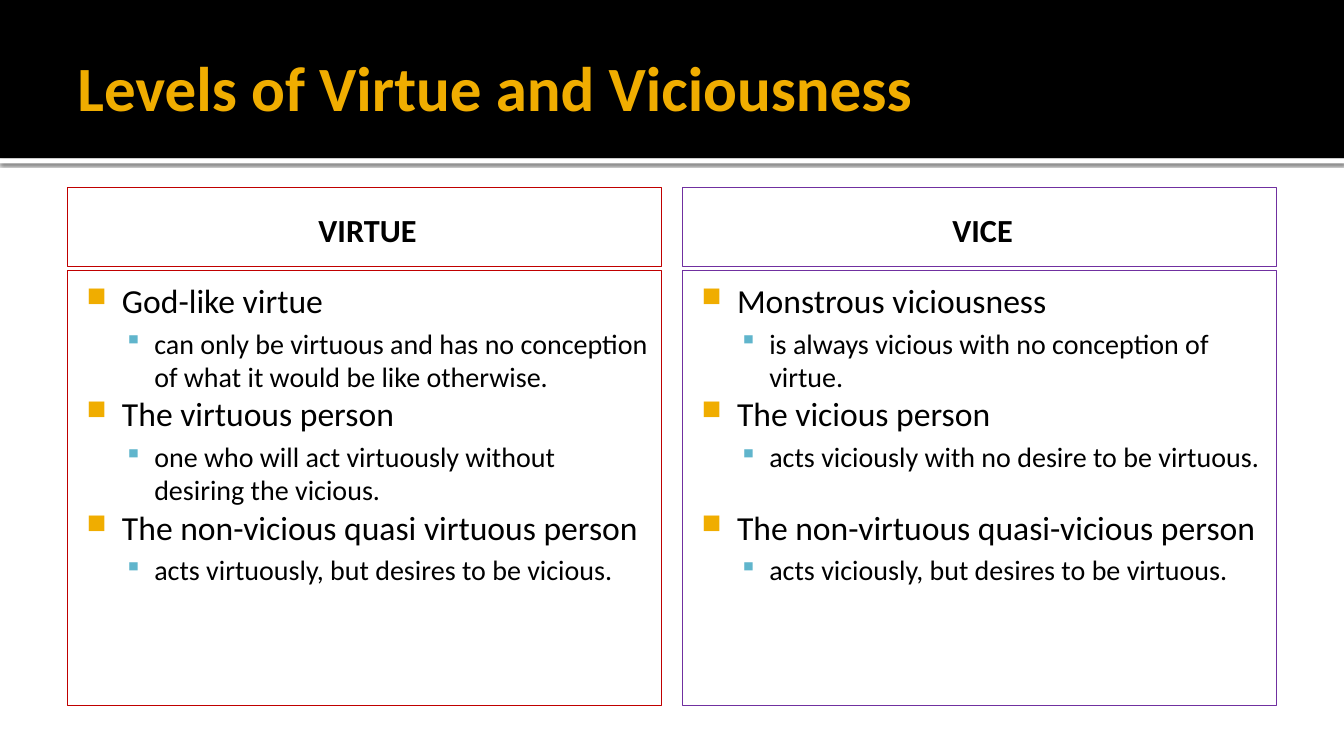
import lxml.etree
import pptx
import pptx.dml.color
import pptx.enum.shapes
import pptx.enum.text
import pptx.oxml.ns
import pptx.util

WIDTH, HEIGHT = 13.33, 7.5
MARGIN, COLUMN, GUTTER = 0.67, 5.89, 0.21
BAND, RULE = 1.57, 0.05
HEADER_TOP, HEADER_HEIGHT = 1.86, 0.78
LIST_TOP, LIST_HEIGHT = 2.68, 4.32
FONT = "Calibri"
BLACK, WHITE, GOLD, BLUE = "000000", "FFFFFF", "F0AD00", "60B5CC"
LEVELS = [
    dict(size=24, left=0.48, hang=0.35, bullet="■", color=GOLD, scale=80),
    dict(size=20, left=0.8, hang=0.3, bullet="▪", color=BLUE, scale=90),
]
COLUMNS = [
    ("VIRTUE", "C00000", [
        ("God-like virtue",
         "can only be virtuous and has no conception of what it would be like otherwise.", 0),
        ("The virtuous person",
         "one who will act virtuously without desiring the vicious.", 0),
        ("The non-vicious quasi virtuous person",
         "acts virtuously, but desires to be vicious.", 0),
    ]),
    ("VICE", "7030A0", [
        ("Monstrous viciousness",
         "is always vicious with no conception of virtue.", 0),
        ("The vicious person",
         "acts viciously with no desire to be virtuous.", 0),
        ("The non-virtuous quasi-vicious person",
         "acts viciously, but desires to be virtuous.", 24.4),
    ]),
]


def rgb(value):
    return pptx.dml.color.RGBColor.from_string(value)


def inches(*values):
    return [pptx.util.Inches(value) for value in values]


def child(parent, tag, **attributes):
    return lxml.etree.SubElement(parent, pptx.oxml.ns.qn(tag), attributes)


def add_rect(s, box, fill=None, line=None):
    sp = s.shapes.add_shape(pptx.enum.shapes.MSO_SHAPE.RECTANGLE, *inches(*box))
    sp.shadow.inherit = False
    if fill:
        sp.fill.solid()
        sp.fill.fore_color.rgb = rgb(fill)
    else:
        sp.fill.background()
    if line:
        sp.line.color.rgb = rgb(line)
        sp.line.width = pptx.util.Pt(0.75)
    else:
        sp.line.fill.background()
    return sp


def add_shadow(sp):
    effects = sp._element.spPr.find(pptx.oxml.ns.qn("a:effectLst"))
    shadow = child(effects, "a:outerShdw", blurRad=str(pptx.util.Pt(2.5)),
                   dist=str(pptx.util.Pt(0.8)), dir="5400000", algn="tl", rotWithShape="0")
    color = child(shadow, "a:srgbClr", val=BLACK)
    child(color, "a:alpha", val="60000")


def set_frame(sp, insets, anchor):
    tf = sp.text_frame
    tf.word_wrap = True
    tf.vertical_anchor = anchor
    tf.margin_left, tf.margin_top, tf.margin_right, tf.margin_bottom = inches(*insets)
    return tf


def add_run(p, text, size, color=BLACK, bold=False):
    r = p.add_run()
    r.text = text
    r.font.name = FONT
    r.font.size = pptx.util.Pt(size)
    r.font.bold = bold
    r.font.color.rgb = rgb(color)


def add_bullet(p, level):
    pPr = p._p.get_or_add_pPr()
    pPr.set("marL", str(pptx.util.Inches(level["left"])))
    pPr.set("indent", str(-pptx.util.Inches(level["hang"])))
    child(child(pPr, "a:buClr"), "a:srgbClr", val=level["color"])
    child(pPr, "a:buSzPct", val=str(level["scale"] * 1000))
    child(pPr, "a:buChar", char=level["bullet"])


def add_title(s, text):
    sp = s.shapes.add_textbox(*inches(MARGIN, 0.17, 12, 1.37))
    tf = set_frame(sp, (0.1, 0.05, 0.05, 0.05), pptx.enum.text.MSO_ANCHOR.MIDDLE)
    add_run(tf.paragraphs[0], text, 45, GOLD, True)


def add_header(s, left, text, line):
    sp = add_rect(s, (left, HEADER_TOP, COLUMN, HEADER_HEIGHT), line=line)
    tf = set_frame(sp, (0.16, 0.1, 0.1, 0.05), pptx.enum.text.MSO_ANCHOR.MIDDLE)
    p = tf.paragraphs[0]
    p.alignment = pptx.enum.text.PP_ALIGN.CENTER
    add_run(p, text, 23, bold=True)


def add_list(s, left, entries, line):
    sp = add_rect(s, (left, LIST_TOP, COLUMN, LIST_HEIGHT), line=line)
    tf = set_frame(sp, (0.06, 0.1, 0.1, 0.05), pptx.enum.text.MSO_ANCHOR.TOP)
    p = tf.paragraphs[0]
    for i, (kind, meaning, gap) in enumerate(entries):
        for depth, (text, before) in enumerate([(kind, gap), (meaning, 4)]):
            if i or depth:
                p = tf.add_paragraph()
            p.level = depth
            p.alignment = pptx.enum.text.PP_ALIGN.LEFT
            add_bullet(p, LEVELS[depth])
            p.space_before = pptx.util.Pt(before)
            add_run(p, text, LEVELS[depth]["size"])


def main():
    prs = pptx.Presentation()
    prs.slide_width, prs.slide_height = inches(WIDTH, HEIGHT)
    s = prs.slides.add_slide(prs.slide_layouts[6])
    add_shadow(add_rect(s, (0, BAND, WIDTH, RULE), fill=WHITE))
    add_rect(s, (0, 0, WIDTH, BAND), fill=BLACK)
    add_title(s, "Levels of Virtue and Viciousness")
    for i, (heading, line, entries) in enumerate(COLUMNS):
        left = MARGIN + i * (COLUMN + GUTTER)
        add_header(s, left, heading, line)
        add_list(s, left, entries, line)
    prs.save("out.pptx")


if __name__ == "__main__":
    main()
